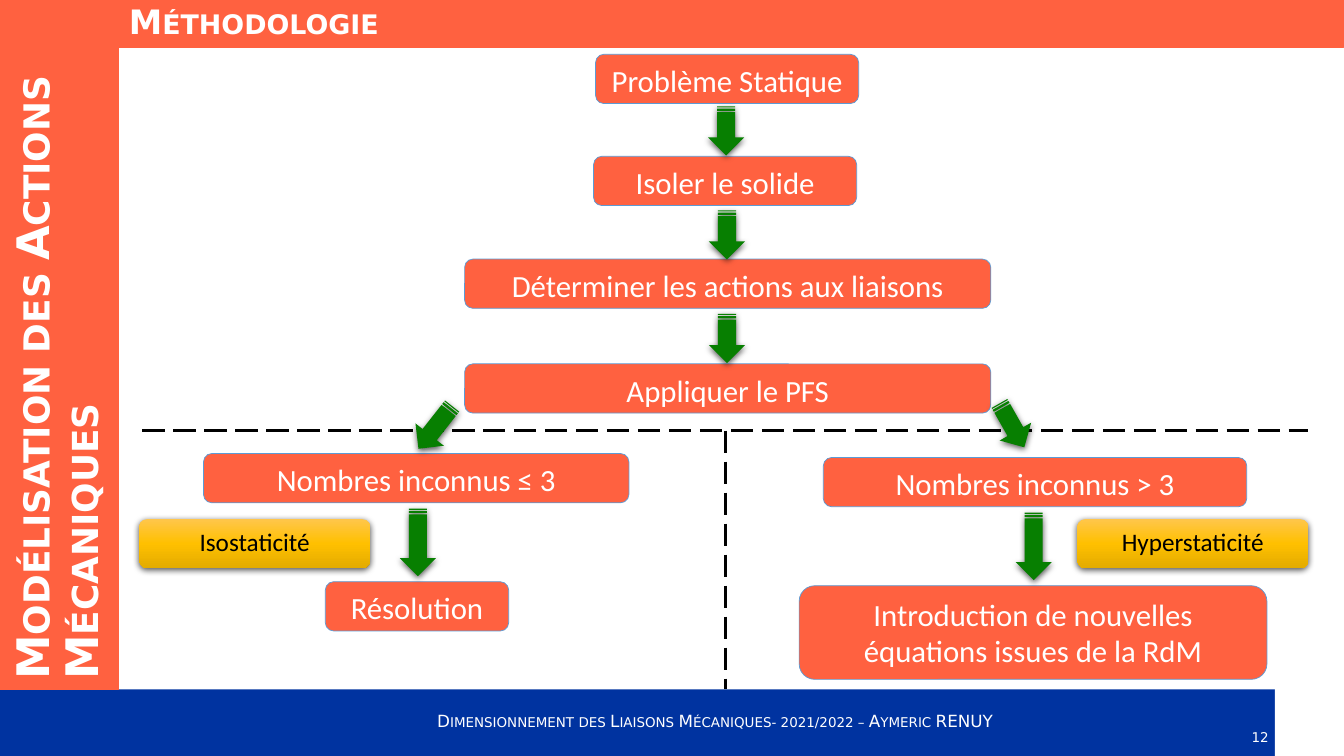
from copy import deepcopy

from lxml import etree
from pptx import Presentation
from pptx.dml.color import RGBColor
from pptx.enum.dml import MSO_LINE
from pptx.enum.shapes import MSO_CONNECTOR, MSO_SHAPE
from pptx.enum.text import MSO_ANCHOR, PP_ALIGN
from pptx.oxml.ns import qn
from pptx.util import Cm, Pt

RECT = MSO_SHAPE.RECTANGLE
ROUND = MSO_SHAPE.ROUNDED_RECTANGLE
ARROW = MSO_SHAPE.STRIPED_RIGHT_ARROW
STRAIGHT = MSO_CONNECTOR.STRAIGHT
LONG_DASH = MSO_LINE.LONG_DASH
TOP, MIDDLE = MSO_ANCHOR.TOP, MSO_ANCHOR.MIDDLE
LEFT, CENTER = PP_ALIGN.LEFT, PP_ALIGN.CENTER

CORAL = RGBColor(0xFF, 0x61, 0x40)
NAVY = RGBColor(0x00, 0x33, 0xA0)
GREEN = RGBColor(0x07, 0x7F, 0x01)
BLUE = RGBColor(0x5B, 0x9B, 0xD5)
WHITE = RGBColor(0xFF, 0xFF, 0xFF)
BLACK = RGBColor(0x00, 0x00, 0x00)
GOLD_STOPS = [
    (0, RGBColor(0xFF, 0xC6, 0x4B)),
    (0.5, RGBColor(0xFF, 0xC0, 0x00)),
    (1, RGBColor(0xE3, 0xAB, 0x00)),
]
BODY_FONT, TITLE_FONT = "Calibri", "DejaVu Sans"
BOX_H = 1.24
ARROW_W = 0.91

prs = Presentation()
prs.slide_width, prs.slide_height = Cm(33.87), Cm(19.05)
s = prs.slides.add_slide(prs.slide_layouts[6])


def add_shape(kind, x, y, w, h, fill, line=None, width=0.75, shadow=False):
    sp = s.shapes.add_shape(kind, Cm(x), Cm(y), Cm(w), Cm(h))
    if fill:
        sp.fill.solid()
        sp.fill.fore_color.rgb = fill
    if line:
        sp.line.color.rgb = line
        sp.line.width = Pt(width)
    else:
        sp.line.fill.background()
    sp.shadow.inherit = False
    if shadow:
        effects = sp._element.spPr.find(qn("a:effectLst"))
        outer = etree.SubElement(effects, qn("a:outerShdw"), blurRad=str(Pt(4.5)),
                                 dist=str(Pt(1.5)), dir="5400000", rotWithShape="0")
        color = etree.SubElement(outer, qn("a:srgbClr"), val=str(BLACK))
        etree.SubElement(color, qn("a:alpha"), val="63000")
    return sp


def write(sp, text, size, font=BODY_FONT, color=WHITE, align=CENTER,
          anchor=TOP, bold=False, small_caps=False, spacing=None):
    tf = sp.text_frame
    tf.word_wrap = True
    tf.vertical_anchor = anchor
    p = tf.paragraphs[0]
    p.alignment = align
    p.line_spacing = spacing
    r = p.add_run()
    r.text = text
    r.font.name, r.font.size, r.font.bold = font, Pt(size), bold
    r.font.color.rgb = color
    if small_caps:
        r._r.get_or_add_rPr().set("cap", "small")


add_shape(RECT, 0, 17.37, 33.87, 1.68, NAVY)
add_shape(RECT, 32.13, 17.3, 1.74, 1.75, WHITE)

for text, x, y, w, h in [
    ("12", 31.22, 18.03, 1.07, 1.02),
    ("Dimensionnement des Liaisons Mécaniques- 2021/2022 – Aymeric RENUY",
     9.68, 17.65, 16.69, 1.02),
]:
    sp = s.shapes.add_textbox(Cm(x), Cm(y), Cm(w), Cm(h))
    write(sp, text, 12, TITLE_FONT, anchor=MIDDLE, small_caps=True)

for text, size, x, y, w, h, rotation in [
    ("Modélisation des Actions Mécaniques", 32, -7.19, 7.19, 17.37, 3, 270),
    ("Méthodologie", 24, 3, 0, 30.87, 1.19, 0),
]:
    sp = add_shape(RECT, x, y, w, h, CORAL, CORAL)
    sp.rotation = rotation
    write(sp, text, size, TITLE_FONT, align=LEFT, anchor=MIDDLE, bold=True,
          small_caps=True, spacing=0.9)

for x1, y1, x2, y2 in [(3.58, 10.85, 32.97, 10.85), (18.29, 10.85, 18.29, 17.37)]:
    divider = s.shapes.add_connector(STRAIGHT, Cm(x1), Cm(y1), Cm(x2), Cm(y2))
    divider.line.color.rgb = BLACK
    divider.line.width = Pt(2)
    divider.line.dash_style = LONG_DASH
    etree.SubElement(divider._element.spPr, qn("a:effectLst"))

for text, x, y, w, h in [
    ("Problème Statique", 15.01, 1.37, 6.63, BOX_H),
    ("Isoler le solide", 14.96, 3.94, 6.63, BOX_H),
    ("Déterminer les actions aux liaisons", 11.71, 6.53, 13.26, BOX_H),
    ("Appliquer le PFS", 11.71, 9.17, 13.26, BOX_H),
    ("Nombres inconnus ≤ 3", 5.13, 11.43, 10.72, BOX_H),
    ("Nombres inconnus > 3", 20.75, 11.53, 10.67, BOX_H),
    ("Résolution", 8.2, 14.66, 4.62, BOX_H),
    ("Introduction de nouvelles équations issues de la RdM", 20.14, 14.76, 11.79, 2.36),
]:
    write(add_shape(ROUND, x, y, w, h, CORAL, BLUE, 0.5), text, 22)

for text, x in [("Isostaticité", 3.51), ("Hyperstaticité", 27.15)]:
    sp = add_shape(ROUND, x, 13.08, 5.82, BOX_H, None, shadow=True)
    sp.fill.gradient()
    sp.fill.gradient_angle = 270
    stop_list = sp._element.spPr.find(qn("a:gradFill")).find(qn("a:gsLst"))
    stop_list.append(deepcopy(stop_list[0]))
    for stop, (position, color) in zip(sp.fill.gradient_stops, GOLD_STOPS):
        stop.position = position
        stop.color.rgb = color
    write(sp, text, 18, color=BLACK)

for cx, cy, length, rotation in [
    (18.3, 3.3, 1.24, 90),
    (18.32, 5.92, 1.24, 90),
    (18.32, 8.53, 1.24, 90),
    (10.97, 10.77, 1.37, 128.2),
    (25.5, 10.72, 1.27, 60.5),
    (10.53, 13.67, 1.7, 90),
    (26.05, 13.77, 1.7, 90),
]:
    sp = add_shape(ARROW, cx - length / 2, cy - ARROW_W / 2, length, ARROW_W,
                   GREEN, shadow=True)
    sp.rotation = rotation

prs.save("out.pptx")
